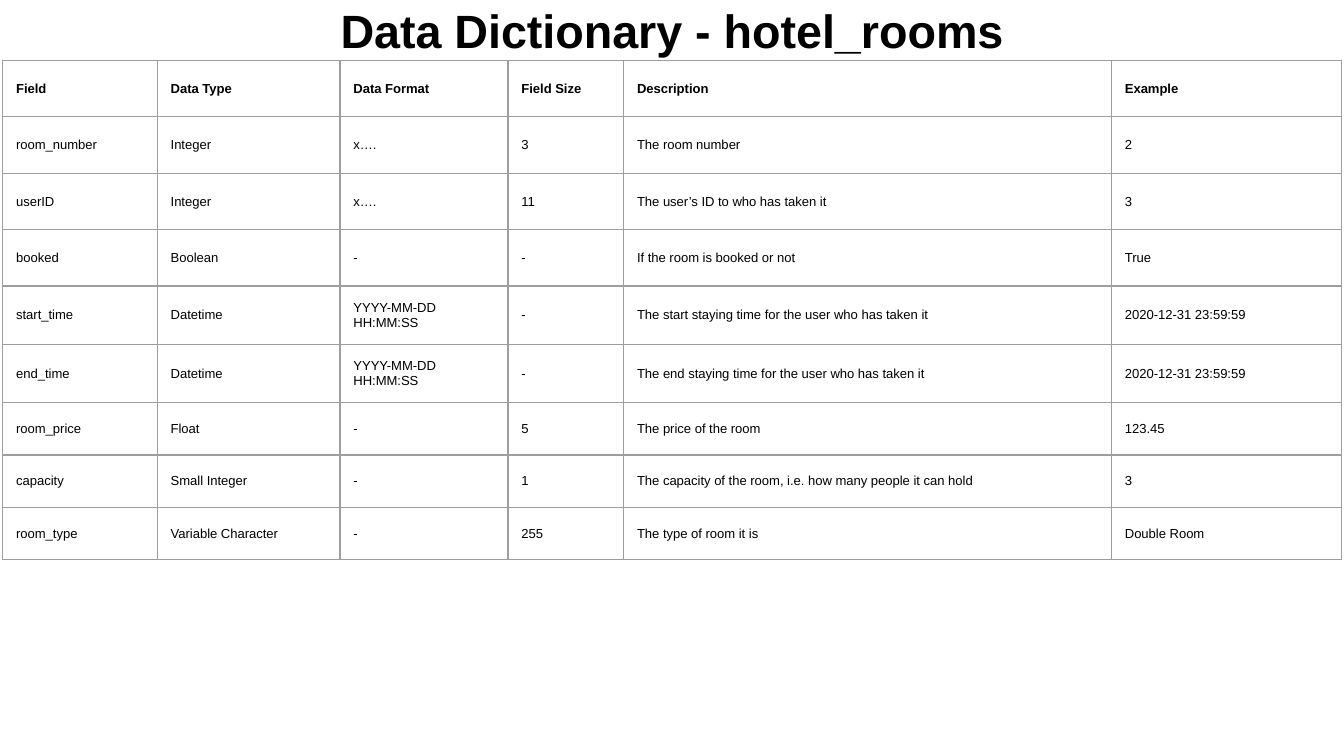
from lxml.etree import SubElement
from pptx import Presentation
from pptx.dml.color import RGBColor
from pptx.enum.text import MSO_ANCHOR, PP_ALIGN
from pptx.oxml.ns import qn
from pptx.util import Inches, Pt

WIDE = 10
HIGH = WIDE * 9 / 16
PAD = 0.1
TOP = 0.08 * HIGH  # where the title ends and the table starts

# Column widths and row heights of the table grid
COLS = [1.15, 1.36, 1.25, 0.86, 3.63, 1.71]
TALL, LOW = 0.42, 0.39
FRAME = 3.28  # nominal frame side; the grid sets the drawn size

STAMP = "YYYY-MM-DD HH:MM:SS"
DATE = "2020-12-31 23:59:59"
ROWS = [
    ("Field", "Data Type", "Data Format", "Field Size", "Description", "Example"),
    ("room_number", "Integer", "x….", "3", "The room number", "2"),
    ("userID", "Integer", "x….", "11", "The user’s ID to who has taken it", "3"),
    ("booked", "Boolean", "-", "-", "If the room is booked or not", "True"),
    ("start_time", "Datetime", STAMP, "-",
     "The start staying time for the user who has taken it", DATE),
    ("end_time", "Datetime", STAMP, "-",
     "The end staying time for the user who has taken it", DATE),
    ("room_price", "Float", "-", "5", "The price of the room", "123.45"),
    ("capacity", "Small Integer", "-", "1",
     "The capacity of the room, i.e. how many people it can hold", "3"),
    ("room_type", "Variable Character", "-", "255", "The type of room it is",
     "Double Room"),
]

# Format values
HEAD = {"name": "Arial", "size": Pt(25), "bold": True}
LABEL = {"name": "Arial", "size": Pt(7), "bold": True}
BODY = {**LABEL, "bold": False}
INSET = {f"margin_{side}": Inches(PAD)
         for side in ("left", "top", "right", "bottom")}
CELL = {**INSET, "vertical_anchor": MSO_ANCHOR.MIDDLE}
BOX = {**CELL, "word_wrap": True}
PLAIN = {"first_row": False, "horz_banding": False}


def set_all(item, values):
    for name, value in values.items():
        setattr(item, name, value)


def paint(color, code):
    color.rgb = RGBColor.from_string(code)


def write(frame, text, style, align=PP_ALIGN.LEFT):
    para = frame.paragraphs[0]
    para.alignment = align
    run = para.add_run()
    run.text = text
    set_all(run.font, style)
    paint(run.font.color, "000000")


def add_title(slide, text):
    width = 0.6 * WIDE
    box = slide.shapes.add_textbox(
        Inches((WIDE - width) / 2), 0, Inches(width), Inches(TOP))
    set_all(box.text_frame, BOX)
    write(box.text_frame, text, HEAD, PP_ALIGN.CENTER)


def rule(cell, code, points):
    props = cell._tc.get_or_add_tcPr()
    for side in ("lnL", "lnR", "lnT", "lnB"):
        line = SubElement(props, qn(f"a:{side}"), w=str(Pt(points)))
        fill = SubElement(line, qn("a:solidFill"))
        SubElement(fill, qn("a:srgbClr"), val=code)


def add_grid(slide, rows):
    highs = [TALL] * 4 + [LOW] * (len(rows) - 4)
    shape = slide.shapes.add_table(
        len(rows), len(COLS), Inches(0.02), Inches(TOP),
        Inches(FRAME), Inches(FRAME))
    grid = shape.table
    set_all(grid, PLAIN)
    for col, width in zip(grid.columns, COLS):
        col.width = Inches(width)
    for i, (row, high) in enumerate(zip(grid.rows, highs)):
        row.height = Inches(high)
        for cell, text in zip(row.cells, rows[i]):
            set_all(cell, CELL)
            rule(cell, "9E9E9E", 0.75)
            cell.fill.background()
            write(cell.text_frame, text, BODY if i else LABEL)
    # Row and column changes resize the frame, so its size comes last
    set_all(shape, {"width": Inches(FRAME), "height": Inches(FRAME)})


def main():
    deck = Presentation()
    set_all(deck, {"slide_width": Inches(WIDE), "slide_height": Inches(HIGH)})
    slide = deck.slides.add_slide(deck.slide_layouts[6])
    add_title(slide, "Data Dictionary - hotel_rooms")
    add_grid(slide, ROWS)
    deck.save("out.pptx")


if __name__ == "__main__":
    main()
